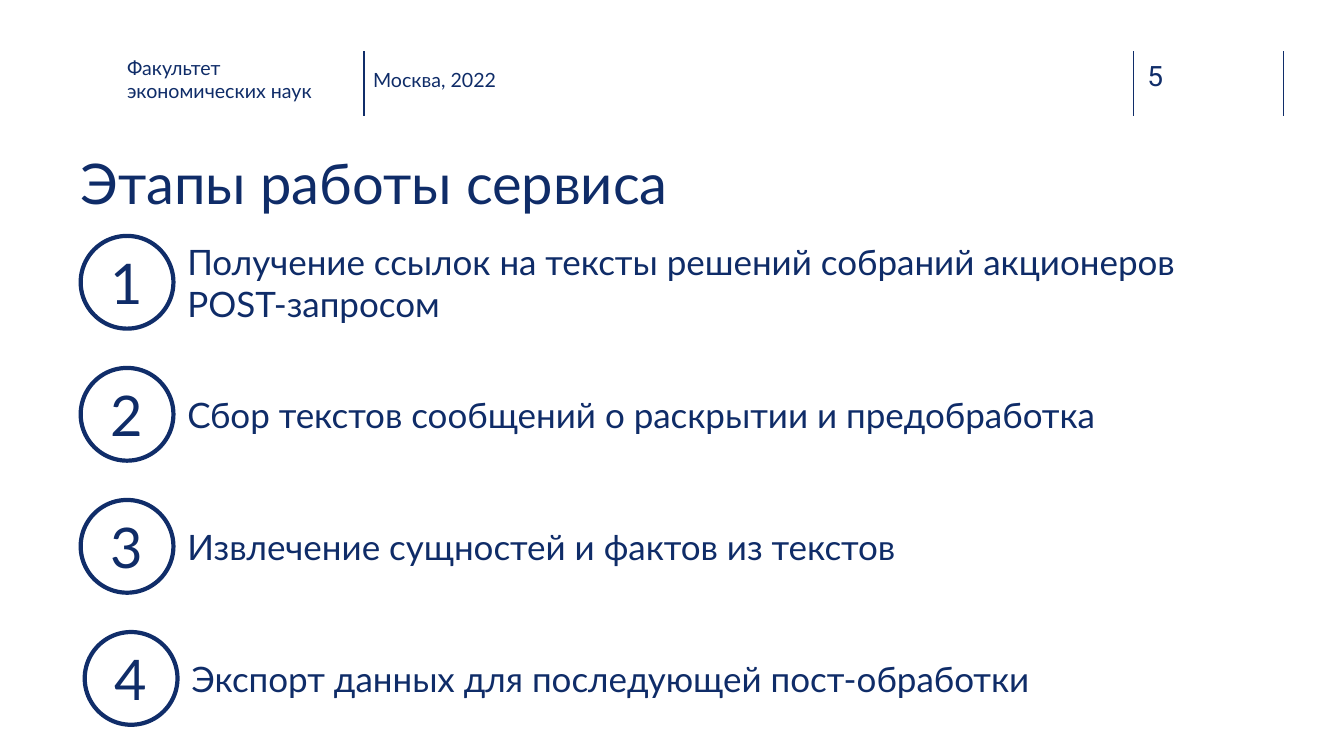
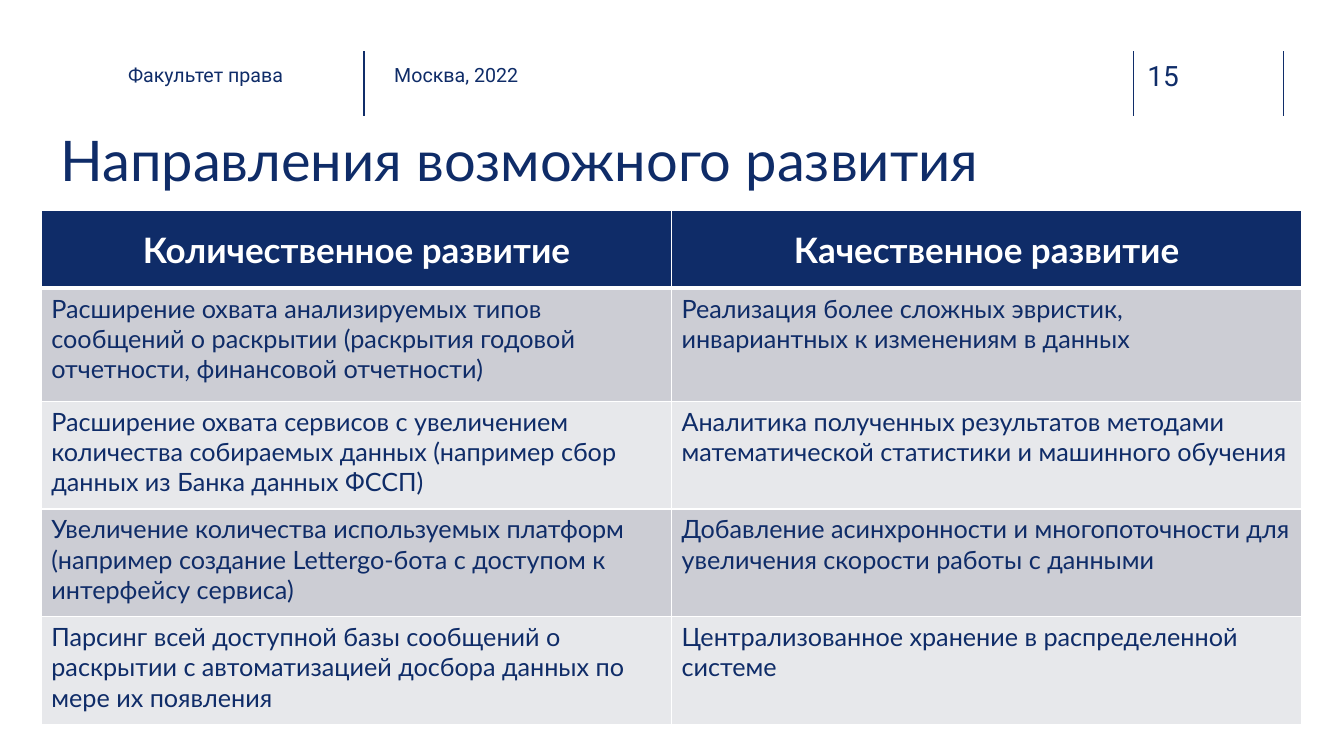
from dataclasses import dataclass

from lxml import etree
from pptx import Presentation
from pptx.dml.color import RGBColor
from pptx.enum.shapes import MSO_CONNECTOR, MSO_SHAPE
from pptx.enum.text import MSO_ANCHOR as Anchor, MSO_AUTO_SIZE as AutoSize, PP_ALIGN as Align
from pptx.oxml import parse_xml
from pptx.oxml.ns import nsdecls, qn
from pptx.util import Inches, Pt


@dataclass(frozen=True)
class Theme:
    navy: str = "0F2C68"
    rule: str = "102D69"
    white: str = "FFFFFF"
    bands: tuple = ("CCCDD4", "E7E8EB")
    font: str = "Lato"
    header_font: str = "Roboto"
    title_size: int = 40
    step_size: int = 25
    number_size: int = 20
    cell_size: int = 18
    header_size: int = 14


THEME = Theme()

# Content: header places are left, top, width, height in inches
STEPS_HEADER = {
    "number": "5",
    "font": THEME.font,
    "title": ("Этапы работы сервиса", (0.8, 1.47, 12.18, 0.85)),
    "faculty": ("Факультет экономических наук", (1.26, 0.55, 2.26, 0.45)),
    "city": ("Москва, 2022", (3.7, 0.67, 2.26, 0.2)),
}
PLANS_HEADER = {
    "number": "15",
    "font": THEME.header_font,
    "title": ("Направления возможного развития", (0.6, 1.24, 12.18, 0.85)),
    "faculty": ("Факультет права", (1.27, 0.62, 2.08, 0.45)),
    "city": ("Москва, 2022", (3.91, 0.62, 2.26, 0.45)),
}
# Each step: left edge of its circle, lines of text
STEPS = [
    (0.8, ["Получение ссылок на тексты решений собраний акционеров", "POST-запросом"]),
    (0.8, ["Сбор текстов сообщений о раскрытии и предобработка"]),
    (0.8, ["Извлечение сущностей и фактов из текстов"]),
    (0.84, ["Экспорт данных для последующей пост-обработки"]),
]
PLANS = [
    ("Количественное развитие", "Качественное развитие"),
    ("Расширение охвата анализируемых типов сообщений о раскрытии "
     "(раскрытия годовой отчетности, финансовой отчетности)",
     "Реализация более сложных эвристик, инвариантных к изменениям в данных"),
    ("Расширение охвата сервисов с увеличением количества собираемых данных "
     "(например сбор данных из Банка данных ФССП)",
     "Аналитика полученных результатов методами математической статистики "
     "и машинного обучения"),
    ("Увеличение количества используемых платформ (например создание "
     "Lettergo-бота с доступом к интерфейсу сервиса)",
     "Добавление асинхронности и многопоточности для увеличения скорости "
     "работы с данными"),
    ("Парсинг всей доступной базы сообщений о раскрытии с автоматизацией "
     "досбора данных по мере их появления",
     "Централизованное хранение в распределенной системе"),
]

# Geometry in inches
RULE_LEFTS = (3.61, 11.24, 12.73)
RULE_TOP, RULE_BOTTOM = 0.51, 1.15
CIRCLE, FIRST_STEP_TOP, STEP_PITCH = 0.92, 2.34, 1.31
STEP_TEXT_GAP, STEP_TEXT_WIDTH = 0.04, 11.18
TABLE_BOX = (0.41, 2.09, 12.5, 5.1)
ROW_HEIGHTS = (0.77, 1.12, 1.07, 1.07, 1.07)


def inches(box):
    return [Inches(value) for value in box]


def write(frame, lines, *, size, font=THEME.font, color=THEME.navy, bold=False,
          align=Align.LEFT, anchor=Anchor.TOP, margin=0):
    """Fill a text frame, one paragraph for each line."""
    frame.word_wrap = True
    frame.auto_size = AutoSize.NONE
    frame.vertical_anchor = anchor
    frame.margin_left = frame.margin_right = Inches(margin)
    frame.margin_top = frame.margin_bottom = Inches(margin / 2)
    for index, line in enumerate(lines):
        paragraph = frame.add_paragraph() if index else frame.paragraphs[0]
        format_paragraph(paragraph, line, size, font, color, bold, align)


def format_paragraph(paragraph, text, size, font, color, bold, align):
    paragraph.alignment = align
    paragraph.space_before = Pt(0)
    run = paragraph.add_run()
    run.text = text
    run.font.name = font
    run.font.size = Pt(size)
    run.font.bold = bold
    run.font.color.rgb = RGBColor.from_string(color)


def prepare_layout(presentation):
    """Keep the title and two short texts of the comparison layout."""
    layout = presentation.slide_layouts[4]
    for placeholder in list(layout.placeholders):
        if placeholder.placeholder_format.idx not in (0, 1, 3):
            layout.shapes.element.remove(placeholder.element)
    return layout


def move_rules_to_layout(slide, layout):
    """Draw the header rules once and let every slide inherit them."""
    for index, left in enumerate(RULE_LEFTS):
        rule = slide.shapes.add_connector(
            MSO_CONNECTOR.STRAIGHT, *inches((left, RULE_TOP, left, RULE_BOTTOM)))
        rule.line.color.rgb = RGBColor.from_string(THEME.rule)
        rule.line.width = Pt(1)
        etree.SubElement(rule.element.spPr, qn("a:effectLst"))
        rule.element.nvCxnSpPr.cNvPr.set("id", str(20 + index))
        layout.shapes.element.append(rule.element)


def add_slide(presentation, layout, header):
    slide = presentation.slides.add_slide(layout)
    for idx, name in ((0, "title"), (1, "faculty"), (3, "city")):
        text, box = header[name]
        placeholder = slide.placeholders[idx]
        (placeholder.left, placeholder.top,
         placeholder.width, placeholder.height) = inches(box)
        if name == "title":
            write(placeholder.text_frame, [text], size=THEME.title_size)
        else:
            write(placeholder.text_frame, [text], size=THEME.header_size,
                  font=header["font"])
    number = slide.shapes.add_textbox(*inches((11.38, 0.58, 0.73, 0.34)))
    write(number.text_frame, [header["number"]], size=THEME.number_size,
          font=THEME.header_font, color=THEME.rule)
    return slide


def add_steps(slide):
    for index, (left, lines) in enumerate(STEPS):
        top = FIRST_STEP_TOP + index * STEP_PITCH
        circle = slide.shapes.add_shape(
            MSO_SHAPE.OVAL, *inches((left, top, CIRCLE, CIRCLE)))
        circle.shadow.inherit = False
        circle.fill.background()
        circle.line.color.rgb = RGBColor.from_string(THEME.rule)
        circle.line.width = Pt(3)
        write(circle.text_frame, [str(index + 1)], size=THEME.title_size,
              align=Align.CENTER, anchor=Anchor.MIDDLE)
        label = slide.shapes.add_textbox(*inches(
            (left + CIRCLE + STEP_TEXT_GAP, top, STEP_TEXT_WIDTH, CIRCLE)))
        write(label.text_frame, lines, size=THEME.step_size,
              anchor=Anchor.MIDDLE, margin=0.1)


def set_borders(cell, **widths):
    """Give the cell white borders; widths are points by side L, R, T, B."""
    properties = cell._tc.get_or_add_tcPr()
    for side, width in widths.items():
        properties.append(parse_xml(
            f'<a:ln{side} {nsdecls("a")} w="{Pt(width)}"><a:solidFill>'
            f'<a:srgbClr val="{THEME.white}"/></a:solidFill></a:ln{side}>'))


def add_plans(slide):
    table = slide.shapes.add_table(len(PLANS), 2, *inches(TABLE_BOX)).table
    for row, height in zip(table.rows, ROW_HEIGHTS):
        row.height = Inches(height)
    for row_index, texts in enumerate(PLANS):
        is_head = row_index == 0
        fill = THEME.navy if is_head else THEME.bands[(row_index - 1) % 2]
        for column_index, text in enumerate(texts):
            cell = table.cell(row_index, column_index)
            set_borders(cell, L=1, R=1, T=3 if row_index == 1 else 1,
                        B=3 if is_head else 1)
            cell.fill.solid()
            cell.fill.fore_color.rgb = RGBColor.from_string(fill)
            cell.vertical_anchor = Anchor.MIDDLE if is_head else Anchor.TOP
            format_paragraph(
                cell.text_frame.paragraphs[0], text,
                THEME.step_size if is_head else THEME.cell_size, THEME.font,
                THEME.white if is_head else THEME.navy, is_head,
                Align.CENTER if is_head else Align.LEFT)


def main():
    presentation = Presentation()
    presentation.slide_width = Inches(13.33)
    presentation.slide_height = Inches(7.5)
    layout = prepare_layout(presentation)

    # Stages of the service
    steps_slide = add_slide(presentation, layout, STEPS_HEADER)
    move_rules_to_layout(steps_slide, layout)
    add_steps(steps_slide)

    # Directions of development
    add_plans(add_slide(presentation, layout, PLANS_HEADER))

    presentation.save("out.pptx")


if __name__ == "__main__":
    main()
